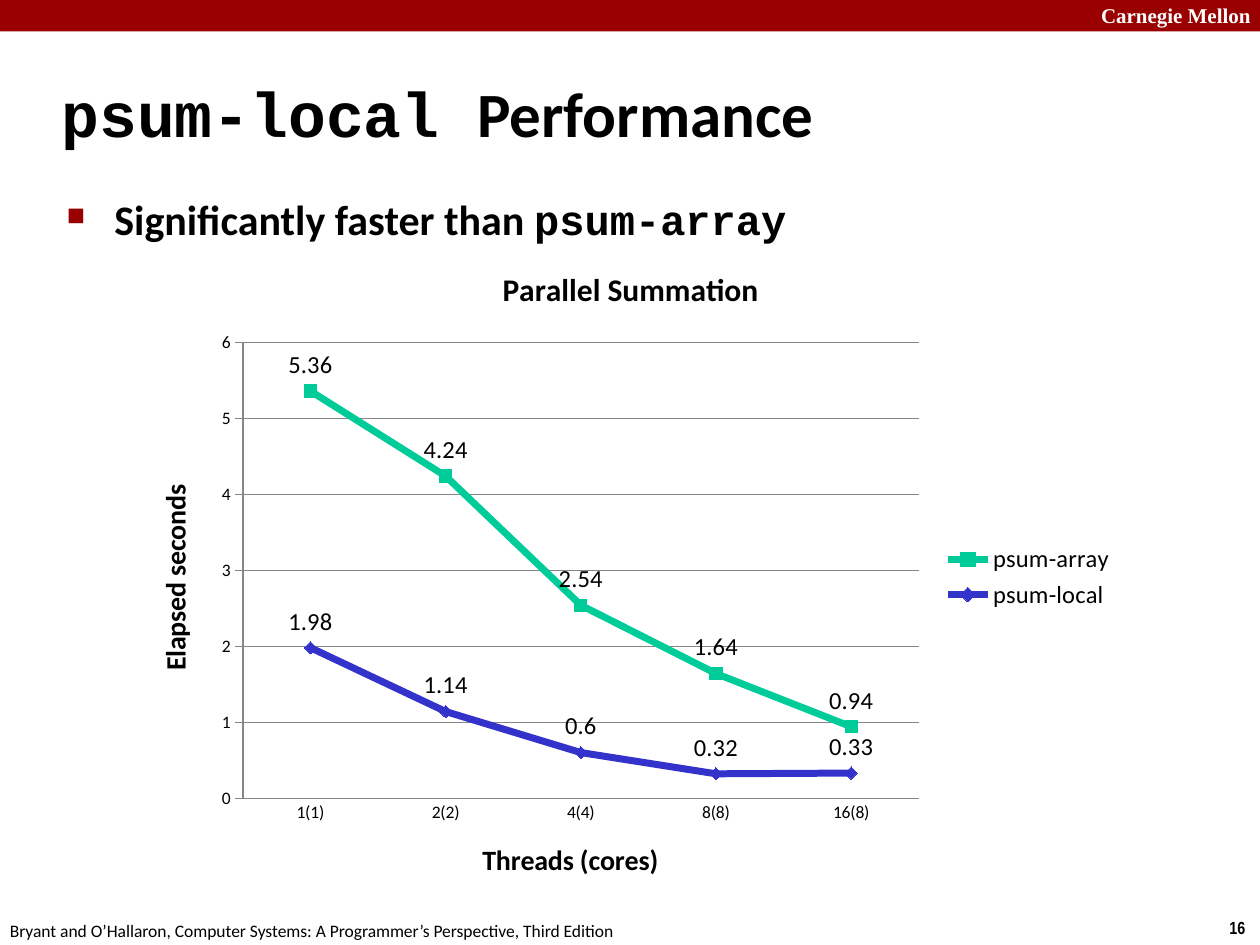
from dataclasses import dataclass

from lxml.etree import SubElement
from pptx import Presentation
from pptx.chart.data import CategoryChartData
from pptx.dml.color import RGBColor
from pptx.enum.chart import XL_CHART_TYPE as ChartType
from pptx.enum.chart import XL_LABEL_POSITION as LabelPos
from pptx.enum.chart import XL_LEGEND_POSITION as LegendPos
from pptx.enum.chart import XL_MARKER_STYLE as Marker
from pptx.enum.chart import XL_TICK_MARK as Tick
from pptx.enum.shapes import MSO_SHAPE as Shape
from pptx.enum.text import MSO_ANCHOR as Anchor
from pptx.oxml.ns import qn
from pptx.util import Inches, Pt

COLORS = {
    "red": "990000",
    "white": "FFFFFF",
    "black": "000000",
    "grid": "868686",
    "array": "00CC99",
    "local": "3333CC",
}


@dataclass
class Run:
    text: str
    size: float
    font: str = "Calibri"
    bold: bool = True
    color: str = "black"


@dataclass
class TextBox:
    box: tuple[float, float, float, float]
    runs: list[Run]
    wrap: bool = True
    anchor: Anchor = Anchor.TOP
    hanging: float = 0
    bullet: str = ""


@dataclass
class Series:
    name: str
    values: list[float]
    color: str
    marker: Marker


TEXTS = [
    TextBox((8.64, -0.03, 1.43, 0.3),
            [Run("Carnegie Mellon", 12, "Times New Roman", color="white")]),
    TextBox((9.66, 7.23, 0.34, 0.27), [Run("16", 10, "Arial Narrow")], wrap=False),
    TextBox((-0.02, 7.25, 5.08, 0.27),
            [Run("Bryant and O’Hallaron, Computer Systems: "
                 "A Programmer’s Perspective, Third Edition", 10, bold=False)],
            wrap=False),
    TextBox((0.39, 0.48, 8.3, 0.83),
            [Run("psum-local ", 36, "Courier New"), Run("Performance", 36)],
            anchor=Anchor.MIDDLE, hanging=0.13),
    TextBox((0.43, 1.49, 8.64, 0.59),
            [Run("Significantly faster than ", 24), Run("psum-array", 24, "Courier New")],
            hanging=0.38, bullet="■"),
]

CATEGORIES = ["1(1)", "2(2)", "4(4)", "8(8)", "16(8)"]
SERIES = [
    Series("psum-array", [5.36, 4.24, 2.54, 1.64, 0.94], "array", Marker.SQUARE),
    Series("psum-local", [1.98, 1.14, 0.6, 0.32, 0.33], "local", Marker.DIAMOND),
]
PLOT_AREA = {"x": 0.11, "y": 0.15, "w": 0.68, "h": 0.68}


def rgb(name: str) -> RGBColor:
    return RGBColor.from_string(COLORS[name])


def style_font(font, size: float, bold: bool = False,
               name: str = "Calibri", color: str = "black") -> None:
    font.size, font.bold, font.name = Pt(size), bold, name
    font.color.rgb = rgb(color)


def add_bullet(pPr, char: str) -> None:
    clr = SubElement(pPr, qn("a:buClr"))
    SubElement(clr, qn("a:srgbClr"), val=COLORS["red"])
    SubElement(pPr, qn("a:buSzPct"), val="60000")
    SubElement(pPr, qn("a:buChar"), char=char)


def add_text(slide, item: TextBox) -> None:
    tf = slide.shapes.add_textbox(*map(Inches, item.box)).text_frame
    tf.word_wrap = item.wrap
    tf.vertical_anchor = item.anchor
    p = tf.paragraphs[0]
    if item.hanging:
        pPr = p._p.get_or_add_pPr()
        pPr.set("marL", str(Inches(item.hanging)))
        pPr.set("indent", str(-Inches(item.hanging)))
        if item.bullet:
            add_bullet(pPr, item.bullet)
    for run in item.runs:
        r = p.add_run()
        r.text = run.text
        style_font(r.font, run.size, run.bold, run.font, run.color)


def add_header(slide) -> None:
    sp = slide.shapes.add_shape(Shape.RECTANGLE, 0, 0, Inches(10), Inches(0.25))
    sp.shadow.inherit = False
    sp.fill.solid()
    sp.fill.fore_color.rgb = rgb("red")
    sp.line.fill.background()


def set_title(owner, text: str, size: float) -> None:
    """Title a chart or an axis."""
    r = None
    if hasattr(owner, "chart_title"):
        title = owner.chart_title
    else:
        title = owner.axis_title
    r = title.text_frame.paragraphs[0].add_run()
    r.text = text
    style_font(r.font, size, bold=True)


def style_axis(axis, title: str, tick: Tick) -> None:
    set_title(axis, title, 16)
    axis.major_tick_mark = tick
    axis.minor_tick_mark = Tick.NONE
    axis.format.line.color.rgb = rgb("grid")
    style_font(axis.tick_labels.font, 10)


def style_series(line, item: Series) -> None:
    color = rgb(item.color)
    line.smooth = False
    line.format.line.color.rgb = color
    line.format.line.width = Pt(4)
    line.marker.style = item.marker
    line.marker.size = 7
    line.marker.format.fill.solid()
    line.marker.format.fill.fore_color.rgb = color
    line.marker.format.line.color.rgb = color
    labels = line.data_labels
    labels.show_value = True
    labels.position = LabelPos.ABOVE
    style_font(labels.font, 14)


def fix_plot_area(chart) -> None:
    """Pin the inner plot area to fractions of the chart."""
    area = chart._chartSpace.chart.plotArea
    for old in area.findall(qn("c:layout")):
        area.remove(old)
    layout = area.makeelement(qn("c:layout"))
    area.insert(0, layout)
    manual = SubElement(layout, qn("c:manualLayout"))
    SubElement(manual, qn("c:layoutTarget"), val="inner")
    for side in "xy":
        SubElement(manual, qn(f"c:{side}Mode"), val="edge")
    for key, value in PLOT_AREA.items():
        SubElement(manual, qn(f"c:{key}"), val=str(value))


def add_timing_chart(slide) -> None:
    data = CategoryChartData()
    data.categories = CATEGORIES
    for item in SERIES:
        data.add_series(item.name, item.values)
    box = map(Inches, (1.06, 1.92, 7.89, 5.32))
    chart = slide.shapes.add_chart(ChartType.LINE_MARKERS, *box, data).chart
    style_font(chart.font, 10)
    set_title(chart, "Parallel Summation", 18)
    chart.has_legend = True
    chart.legend.position = LegendPos.RIGHT
    chart.legend.include_in_layout = False
    style_font(chart.legend.font, 14)
    style_axis(chart.category_axis, "Threads (cores)", Tick.NONE)
    axis = chart.value_axis
    style_axis(axis, "Elapsed seconds", Tick.OUTSIDE)
    axis.minimum_scale, axis.maximum_scale, axis.major_unit = 0, 6, 1
    axis.major_gridlines.format.line.color.rgb = rgb("grid")
    plot = chart.plots[0]
    plot.vary_by_categories = False
    for line, item in zip(plot.series, SERIES):
        style_series(line, item)
    fix_plot_area(chart)


def main() -> None:
    prs = Presentation()
    prs.slide_width, prs.slide_height = Inches(10), Inches(7.5)
    slide = prs.slides.add_slide(prs.slide_layouts[6])
    add_header(slide)
    for item in TEXTS:
        add_text(slide, item)
    add_timing_chart(slide)
    prs.save("out.pptx")


if __name__ == "__main__":
    main()
